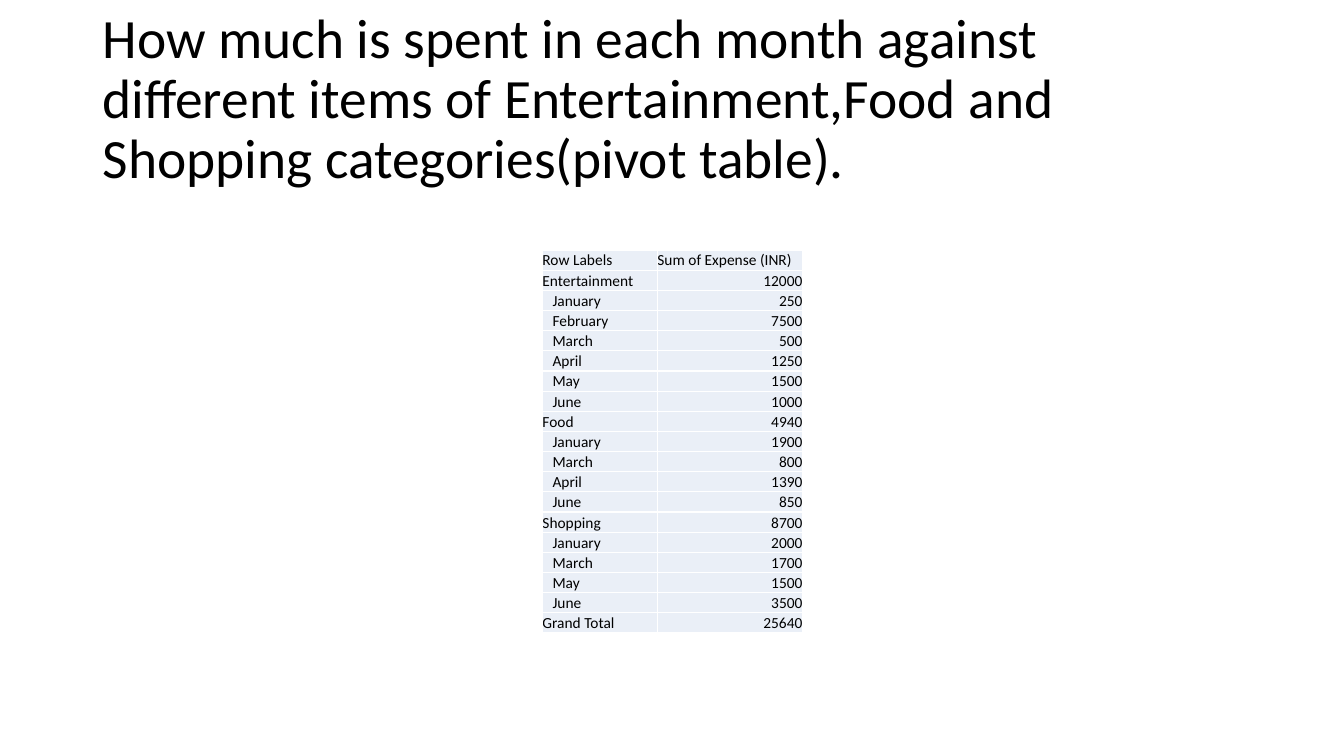
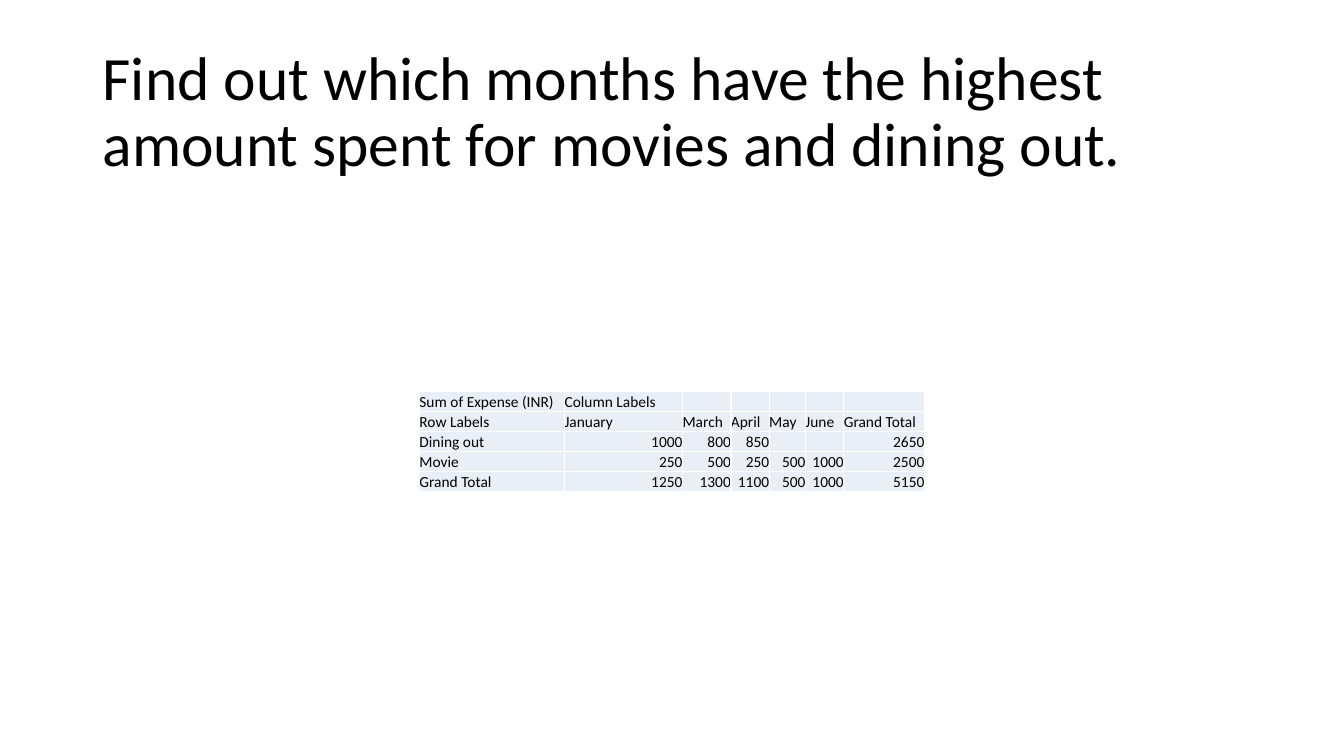
from dataclasses import dataclass

from lxml import etree
from pptx import Presentation
from pptx import util as u
from pptx.dml.color import RGBColor
from pptx.enum import text
from pptx.oxml import ns

PX = 9144  # EMU per px, 100 px to the inch
PAGE_WIDTH, PAGE_HEIGHT = 1333, 750
ROW_HEIGHT = 20
MONTH_INDENT = 10


@dataclass(frozen=True)
class Theme:
    font: str = "Calibri"
    ink: str = "000000"
    cell: str = "EAEFF7"
    border: str = "FFFFFF"
    border_width: float = 1
    title_size: float = 44
    long_title_size: float = 39.6
    cell_size: float = 11


THEME = Theme()

MONTHLY_EXPENSES = {
    "Entertainment": {"January": 250, "February": 7500, "March": 500,
                      "April": 1250, "May": 1500, "June": 1000},
    "Food": {"January": 1900, "March": 800, "April": 1390, "June": 850},
    "Shopping": {"January": 2000, "March": 1700, "May": 1500, "June": 3500},
}
LEISURE_MONTHS = ["January", "March", "April", "May", "June"]
LEISURE_EXPENSES = {
    "Dining out": [1000, 800, 850, None, None],
    "Movie": [250, 500, 250, 500, 1000],
}


def px(length):
    return u.Emu(length * PX)


def write_text(frame, content, size, align=text.PP_ALIGN.LEFT, spacing=None):
    """Write one paragraph in the theme's font; empty text keeps its size."""
    para = frame.paragraphs[0]
    para.alignment = align
    if spacing:
        para.line_spacing = spacing
    if not content:
        end = etree.SubElement(para._p, ns.qn("a:endParaRPr"))
        end.set("sz", str(int(size * 100)))
        return
    span = para.add_run()
    span.text = content
    span.font.name = THEME.font
    span.font.size = u.Pt(size)
    span.font.color.rgb = RGBColor.from_string(THEME.ink)


def add_title(page, box, content, size):
    shape = page.shapes.add_textbox(*map(px, box))
    frame = shape.text_frame
    frame.word_wrap = True
    frame.vertical_anchor = text.MSO_ANCHOR.MIDDLE
    write_text(frame, content, size, spacing=0.9)


def add_borders(cell):
    properties = cell._tc.get_or_add_tcPr()
    for side in ("lnL", "lnR", "lnT", "lnB"):
        line = etree.SubElement(properties, ns.qn(f"a:{side}"))
        line.set("w", str(u.Pt(THEME.border_width)))
        fill = etree.SubElement(line, ns.qn("a:solidFill"))
        etree.SubElement(fill, ns.qn("a:srgbClr")).set("val", THEME.border)


def fill_cell(cell, value, indent=0):
    """Numbers go right, labels left, missing values stay empty."""
    cell.margin_left = px(indent)
    cell.margin_right = cell.margin_top = cell.margin_bottom = 0
    cell.vertical_anchor = text.MSO_ANCHOR.BOTTOM
    add_borders(cell)
    cell.fill.solid()
    cell.fill.fore_color.rgb = RGBColor.from_string(THEME.cell)
    align = text.PP_ALIGN.RIGHT if isinstance(value, int) else text.PP_ALIGN.LEFT
    write_text(cell.text_frame, "" if value is None else str(value),
               THEME.cell_size, align=align)


def add_pivot_table(page, left, top, widths, rows, indented=()):
    box = (left, top, sum(widths), ROW_HEIGHT * len(rows))
    table = page.shapes.add_table(len(rows), len(widths), *map(px, box)).table
    table.first_row = table.horz_banding = False
    for column, width in zip(table.columns, widths):
        column.width = px(width)
    for row_index, values in enumerate(rows):
        table.rows[row_index].height = px(ROW_HEIGHT)
        for column_index, value in enumerate(values):
            nested = column_index == 0 and row_index in indented
            fill_cell(table.cell(row_index, column_index), value,
                      indent=MONTH_INDENT if nested else 0)


def monthly_rows():
    """Return category totals with their months, and the month row numbers."""
    rows, indented = [("Row Labels", "Sum of Expense (INR)")], set()
    for category, months in MONTHLY_EXPENSES.items():
        rows.append((category, sum(months.values())))
        indented.update(range(len(rows), len(rows) + len(months)))
        rows.extend(months.items())
    total = sum(sum(months.values()) for months in MONTHLY_EXPENSES.values())
    return rows + [("Grand Total", total)], indented


def leisure_rows():
    """Return the items by month, with totals on both edges."""
    blanks = [None] * len(LEISURE_MONTHS)
    rows = [["Sum of Expense (INR)", "Column Labels", *blanks],
            ["Row Labels", *LEISURE_MONTHS, "Grand Total"]]
    totals = [sum(value or 0 for value in column)
              for column in zip(*LEISURE_EXPENSES.values())]
    for item, values in [*LEISURE_EXPENSES.items(), ("Grand Total", totals)]:
        rows.append([item, *values, sum(value or 0 for value in values)])
    return rows


def build_monthly_page(page):
    add_title(page, (92, 15, 1150, 170),
              "How much is spent in each month against different items of "
              "Entertainment,Food and Shopping categories(pivot table).",
              THEME.long_title_size)
    rows, indented = monthly_rows()
    add_pivot_table(page, 538, 248, (114, 144), rows, indented)


def build_leisure_page(page):
    add_title(page, (92, 40, 1150, 145),
              "Find out which months have the highest amount spent for "
              "movies and dining out.", THEME.title_size)
    add_pivot_table(page, 416, 388, (144, 117, 48, 38, 36, 38, 80),
                    leisure_rows())


def main():
    deck = Presentation()
    deck.slide_width, deck.slide_height = px(PAGE_WIDTH), px(PAGE_HEIGHT)
    for build in (build_monthly_page, build_leisure_page):
        build(deck.slides.add_slide(deck.slide_layouts[6]))
    deck.save("out.pptx")


if __name__ == "__main__":
    main()
